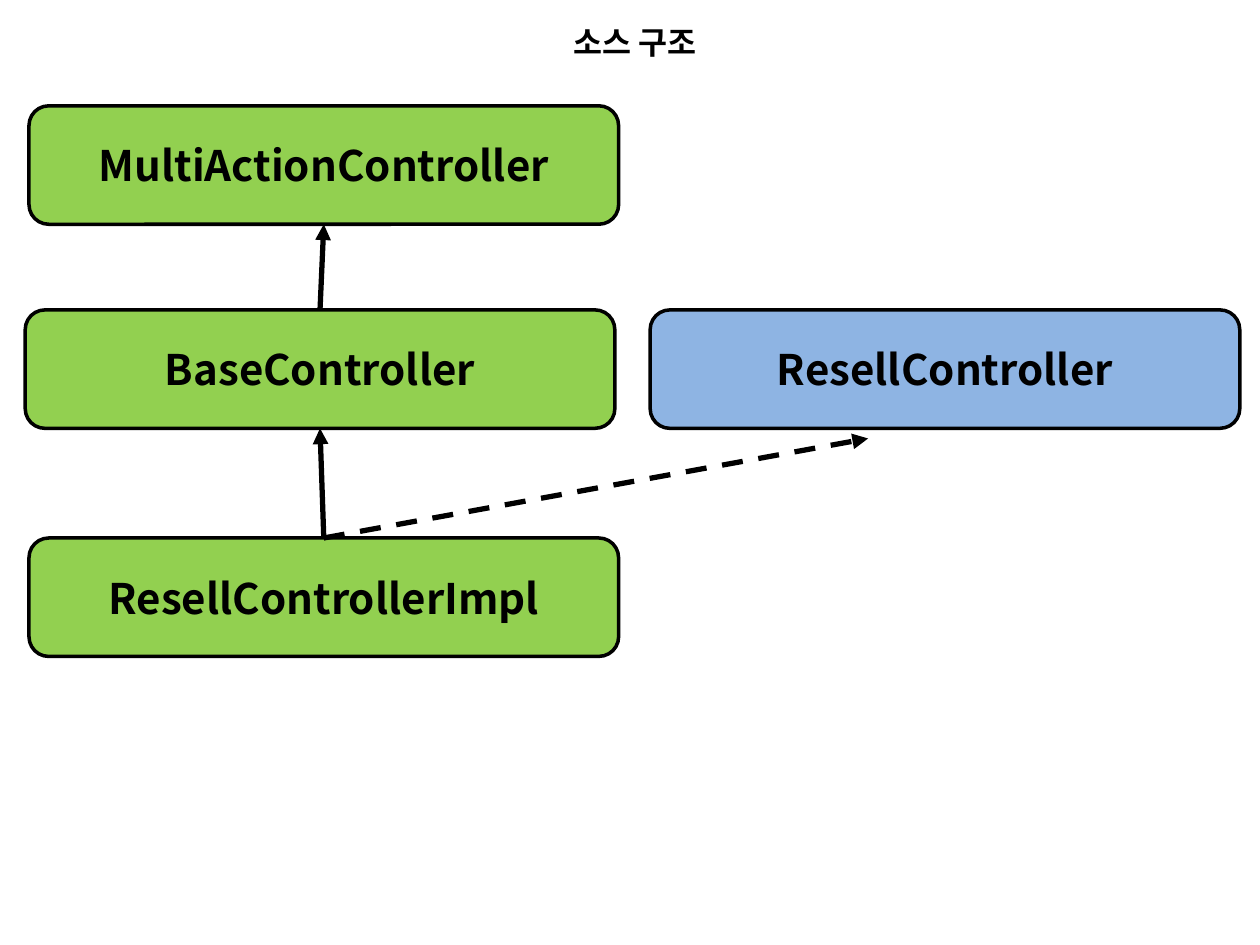
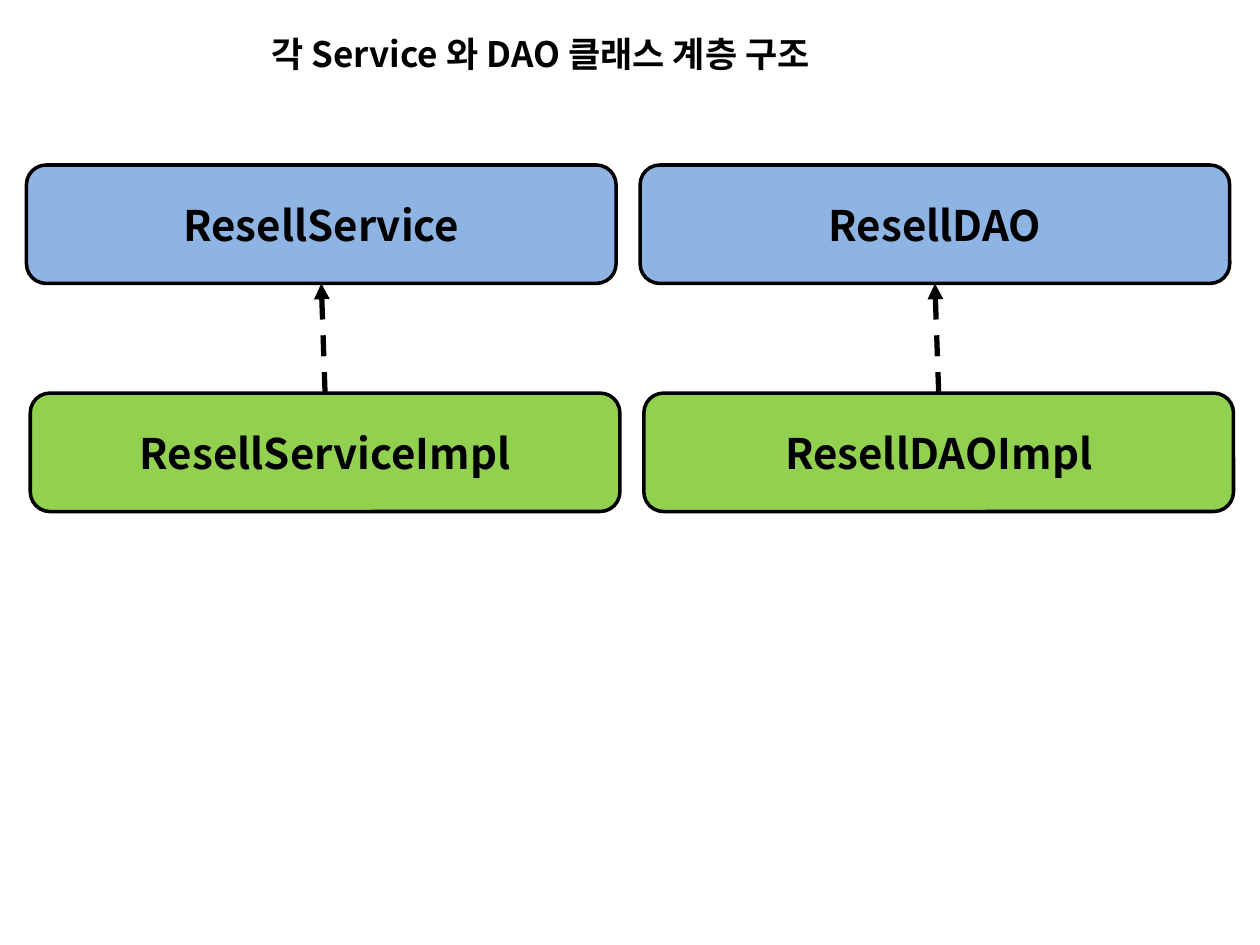
"""Build two class hierarchy slides with titles, class boxes and inheritance arrows."""
import pptx
import pptx.dml.color
import pptx.enum.dml
import pptx.enum.shapes
import pptx.enum.text
import pptx.oxml
import pptx.oxml.ns
import pptx.util

Inches = pptx.util.Inches
FONT = "Noto Sans CJK KR"
BLACK = "000000"
CLASS_GREEN = "92D050"
INTERFACE_BLUE = "8EB4E3"
BOX_WIDTH, BOX_HEIGHT = 4.68, 0.94
TOP_SITE, BOTTOM_SITE = 0, 2
TITLE_ONLY_LAYOUT = 5


def color(hex_value):
    return pptx.dml.color.RGBColor.from_string(hex_value)


def drawing_element(tag, attributes=""):
    namespace = pptx.oxml.ns.nsdecls("a")
    return pptx.oxml.parse_xml(f"<a:{tag} {namespace} {attributes}/>")


def write_text(shape, text, size, anchor):
    frame = shape.text_frame
    frame.text = text
    frame.word_wrap = True
    frame.vertical_anchor = anchor
    paragraph = frame.paragraphs[0]
    paragraph.alignment = pptx.enum.text.PP_ALIGN.CENTER
    run = paragraph.runs[0]
    run.font.size = pptx.util.Pt(size)
    run.font.bold = True
    run.font.color.rgb = color(BLACK)
    run.font.name = FONT
    run.font._element.append(drawing_element("ea", f'typeface="{FONT}"'))


def add_titled_slide(presentation, title, left, top, width, height, size):
    slide = presentation.slides.add_slide(presentation.slide_layouts[TITLE_ONLY_LAYOUT])
    shape = slide.shapes.title
    shape.left, shape.top = Inches(left), Inches(top)
    shape.width, shape.height = Inches(width), Inches(height)
    write_text(shape, title, size, pptx.enum.text.MSO_ANCHOR.TOP)
    shape.text_frame.auto_size = pptx.enum.text.MSO_AUTO_SIZE.SHAPE_TO_FIT_TEXT
    return slide


def add_class_box(slide, name, left, top, fill):
    shape = slide.shapes.add_shape(
        pptx.enum.shapes.MSO_SHAPE.ROUNDED_RECTANGLE,
        Inches(left), Inches(top), Inches(BOX_WIDTH), Inches(BOX_HEIGHT))
    shape.shadow.inherit = False
    shape.fill.solid()
    shape.fill.fore_color.rgb = color(fill)
    shape.line.color.rgb = color(BLACK)
    shape.line.width = pptx.util.Pt(2)
    write_text(shape, name, 24, pptx.enum.text.MSO_ANCHOR.MIDDLE)
    return shape


def add_arrow(slide, child, parent=None, end=(0, 0), dashed=False):
    """Draw an arrow from the top of child to the bottom of parent, or to a free end."""
    connector = slide.shapes.add_connector(
        pptx.enum.shapes.MSO_CONNECTOR.STRAIGHT,
        0, 0, Inches(end[0]), Inches(end[1]))
    connector.begin_connect(child, TOP_SITE)
    if parent is not None:
        connector.end_connect(parent, BOTTOM_SITE)
    connector.line.color.rgb = color(BLACK)
    connector.line.width = pptx.util.Pt(3)
    if dashed:
        connector.line.dash_style = pptx.enum.dml.MSO_LINE.DASH
    properties = connector._element.spPr
    properties.append(drawing_element("effectLst"))
    line = properties.find(pptx.oxml.ns.qn("a:ln"))
    line.append(drawing_element("tailEnd", 'type="triangle"'))


def add_controller_slide(presentation):
    slide = add_titled_slide(presentation, "소스 구조", 3.11, 0.13, 3.86, 0.4, 18)
    multi_action = add_class_box(slide, "MultiActionController", 0.23, 0.84, CLASS_GREEN)
    base = add_class_box(slide, "BaseController", 0.2, 2.46, CLASS_GREEN)
    implementation = add_class_box(slide, "ResellControllerImpl", 0.23, 4.27, CLASS_GREEN)
    add_class_box(slide, "ResellController", 5.16, 2.46, INTERFACE_BLUE)
    add_arrow(slide, base, multi_action)
    add_arrow(slide, implementation, base)
    add_arrow(slide, implementation, end=(6.89, 3.48), dashed=True)


def add_service_slide(presentation):
    slide = add_titled_slide(
        presentation, "각 Service 와 DAO 클래스 계층 구조", 1.3, 0.21, 5.98, 0.44, 20)
    for name, left in (("ResellService", 0.21), ("ResellDAO", 5.08)):
        interface = add_class_box(slide, name, left, 1.31, INTERFACE_BLUE)
        implementation = add_class_box(slide, name + "Impl", left + 0.03, 3.12, CLASS_GREEN)
        add_arrow(slide, implementation, interface, dashed=True)


def main():
    presentation = pptx.Presentation()
    presentation.slide_width = Inches(10)
    presentation.slide_height = Inches(7.5)
    add_controller_slide(presentation)
    add_service_slide(presentation)
    presentation.save("out.pptx")


main()
